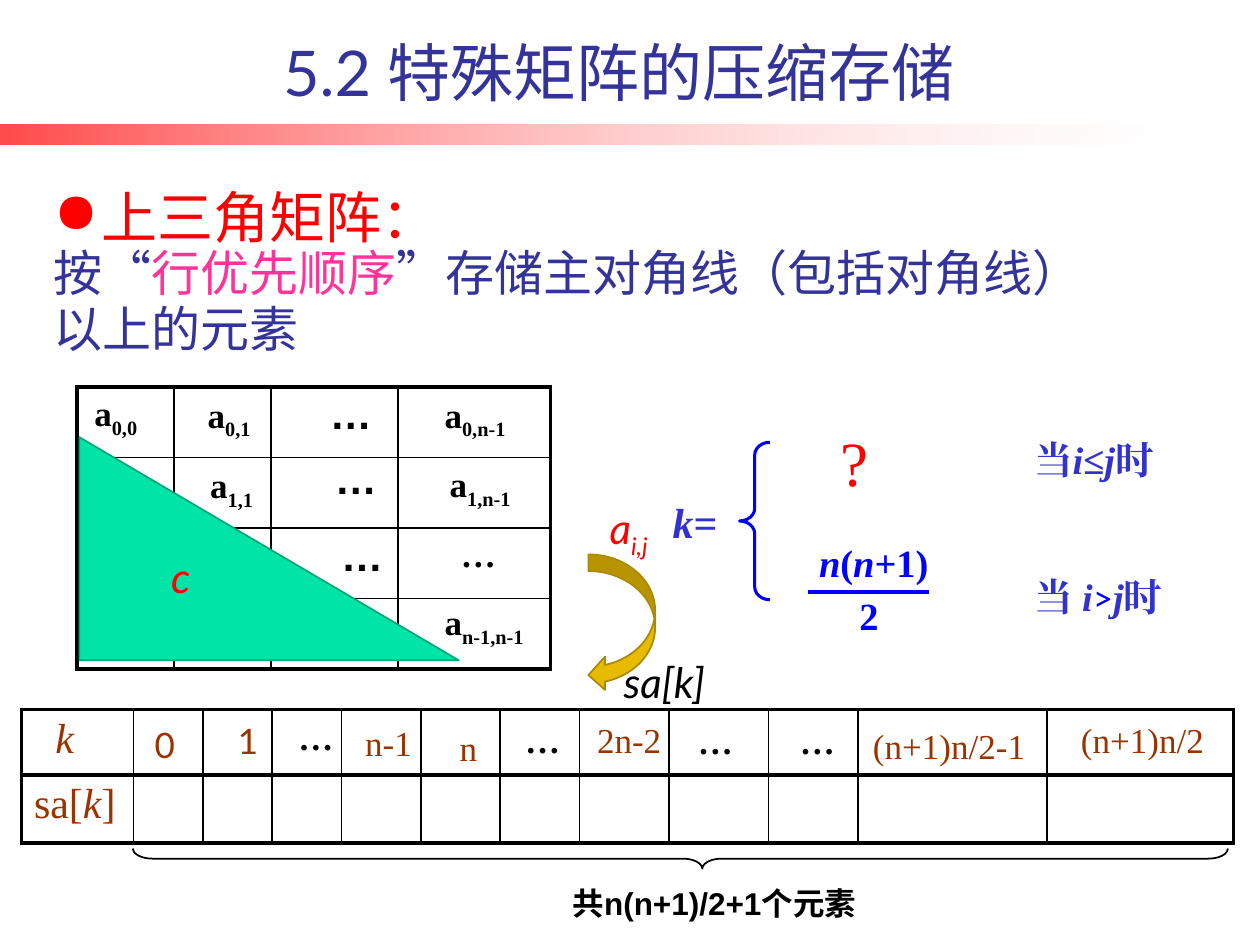
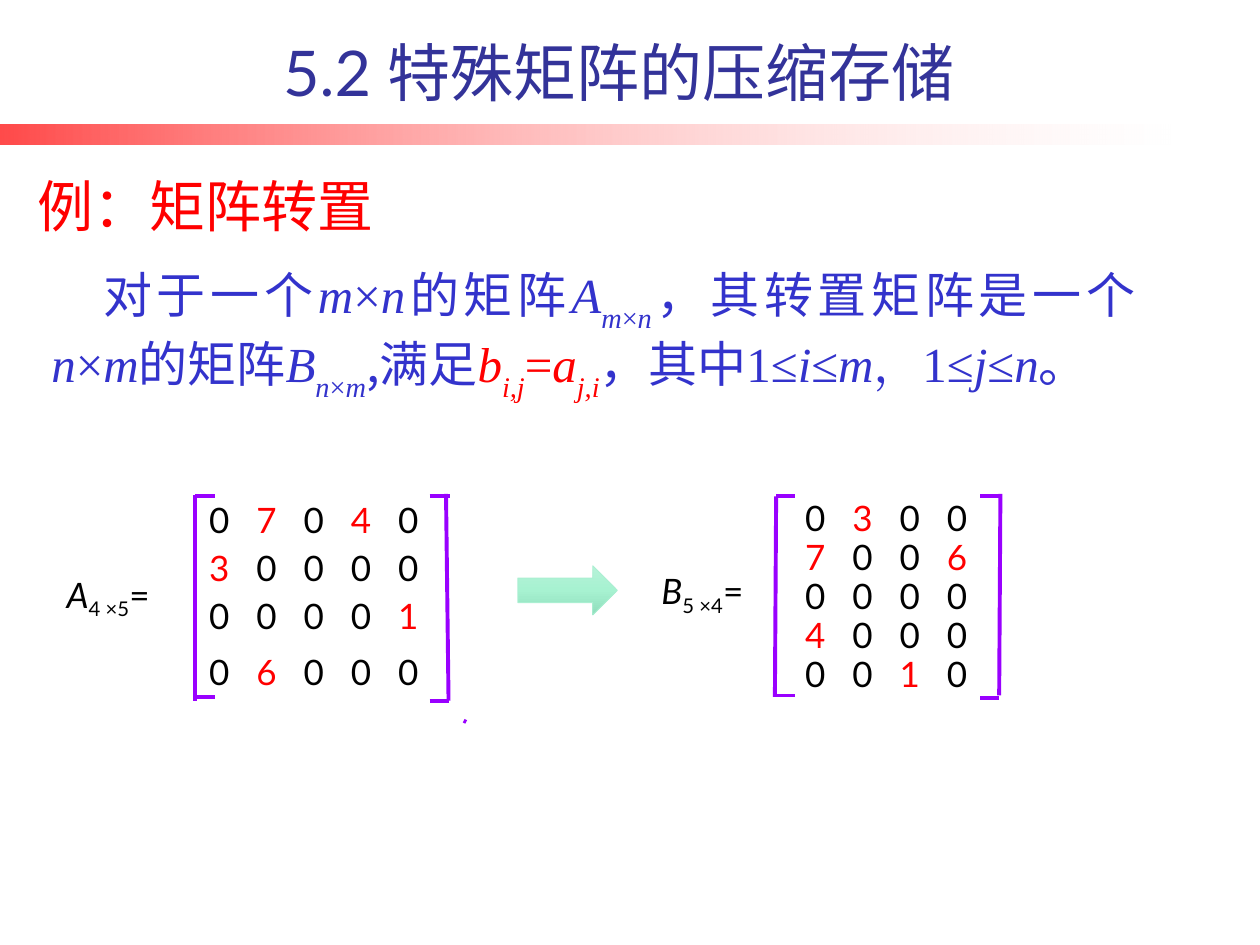
from dataclasses import dataclass

from lxml.etree import SubElement
from pptx import Presentation
from pptx.dml.color import RGBColor
from pptx.enum.lang import MSO_LANGUAGE_ID
from pptx.enum.shapes import MSO_CONNECTOR, MSO_SHAPE
from pptx.enum.text import MSO_ANCHOR, PP_ALIGN
from pptx.oxml.ns import qn
from pptx.util import Inches, Pt


@dataclass(frozen=True)
class Theme:
    navy: str = "333399"
    indigo: str = "3333CC"
    blue: str = "0000FF"
    red: str = "FF0000"
    pink: str = "FF3399"
    brown: str = "993300"
    purple: str = "9900FF"
    black: str = "000000"
    sans: str = "Lato"
    serif: str = "Times New Roman"
    arial: str = "Arial"
    chinese: str = "Noto Sans CJK SC"
    title: int = 36
    heading: int = 32
    body: int = 28
    symbol: int = 24
    condition: int = 22
    label: int = 20
    note: int = 18


theme = Theme()
ITALIC = {"italic": True}
UPRIGHT = {"italic": False}
SUBSCRIPT = {"subscript": 25}
DEEP_SUBSCRIPT = {"subscript": 30}
NO_INSETS = dict.fromkeys(("margin_left", "margin_top", "margin_right", "margin_bottom"), 0)


def add_text(slide, box, runs, style, shape=None, frame_format=None,
             paragraph_format=None, indents=None, bullet=None, tabs=()):
    """Write styled runs, given as (text, style changes), in a new text box or in shape."""
    if shape is None:
        shape = slide.shapes.add_textbox(0, 0, 0, 0)
    if box:
        for name, length in zip(("left", "top", "width", "height"), box):
            setattr(shape, name, Inches(length))
    frame = shape.text_frame
    for name, value in {"word_wrap": True, **(frame_format or {})}.items():
        setattr(frame, name, value)
    paragraph = frame.paragraphs[0]
    for name, value in (paragraph_format or {}).items():
        setattr(paragraph, name, value)
    properties = paragraph._p.get_or_add_pPr()
    for name, length in (indents or {}).items():
        properties.set(name, str(Inches(length)))
    if bullet:
        SubElement(properties, qn("a:buChar"), char=bullet)
    if tabs:
        tab_list = SubElement(properties, qn("a:tabLst"))
        for position in tabs:
            SubElement(tab_list, qn("a:tab"), pos=str(Inches(position)), algn="l")
    for text, changes in [(runs, {})] if isinstance(runs, str) else runs:
        look = {**style, **changes}
        run = paragraph.add_run()
        run.text = text
        font_format = {"name": look["name"], "size": Pt(look["size"]),
                       "bold": look.get("bold", False), "italic": look.get("italic", False),
                       "language_id": MSO_LANGUAGE_ID.SIMPLIFIED_CHINESE}
        for name, value in font_format.items():
            setattr(run.font, name, value)
        run.font.color.rgb = RGBColor.from_string(look["color"])
        run_properties = run._r.get_or_add_rPr()
        SubElement(run_properties, qn("a:ea"), typeface=look["name"])
        if "subscript" in look:
            run_properties.set("baseline", str(-1000 * look["subscript"]))


def add_figure(slide, kind, box, fill=None, line=None, adjustments=(), angle=0, rotation=0):
    """Draw a preset shape; fill is a colour or a list of (position, colour, alpha) stops."""
    shape = slide.shapes.add_shape(kind, *map(Inches, box))
    shape.shadow.inherit = False
    shape.rotation = rotation
    for index, value in enumerate(adjustments):
        shape.adjustments[index] = value
    if fill is None:
        shape.fill.background()
    elif isinstance(fill, str):
        shape.fill.solid()
        shape.fill.fore_color.rgb = RGBColor.from_string(fill)
    else:
        shape.fill.gradient()
        shape.fill.gradient_angle = angle
        stops = shape._element.spPr.find(".//" + qn("a:gsLst"))
        for stop in list(stops):
            stops.remove(stop)
        for position, color, alpha in fill:
            stop = SubElement(stops, qn("a:gs"), pos=str(1000 * position))
            value = SubElement(stop, qn("a:srgbClr"), val=color)
            SubElement(value, qn("a:alpha"), val=str(1000 * alpha))
    if line:
        shape.line.color.rgb = RGBColor.from_string(line[0])
        shape.line.width = Pt(line[1])
    else:
        shape.line.fill.background()
    return shape


presentation = Presentation()
presentation.slide_width, presentation.slide_height = Inches(10), Inches(7.5)
layout = presentation.slide_layouts[5]
triangular, transpose = [presentation.slides.add_slide(layout) for _ in range(2)]

# Shared band and titles
band = add_figure(triangular, MSO_SHAPE.RECTANGLE, (0, 0.99, 9.29, 0.16),
                  [(0, theme.red, 71), (100, "FFFFFF", 18)])
layout.shapes._spTree.insert(2, band._element)
for slide in (triangular, transpose):
    add_text(slide, (0.65, 0.21, 8.52, 0.71), "5.2 特殊矩阵的压缩存储",
             {"name": theme.sans, "size": theme.title, "color": theme.navy},
             shape=slide.shapes.title,
             frame_format={"vertical_anchor": MSO_ANCHOR.BOTTOM},
             paragraph_format={"alignment": PP_ALIGN.CENTER})

# Slide 1: upper triangular matrix
add_text(triangular, (0.33, 1.08, 5.14, 0.96), "上三角矩阵：",
         {"name": theme.sans, "size": theme.heading, "color": theme.red},
         paragraph_format={"line_spacing": 1.6},
         indents={"marL": 0.38, "indent": -0.38}, bullet="●")
add_text(triangular, (0.33, 1.91, 8.46, 1.12),
         [("按“", {}), ("行优先顺序", {"color": theme.pink}),
          ("”存储主对角线（包括对角线）以上的元素", {})],
         {"name": theme.chinese, "size": theme.body, "color": theme.navy},
         paragraph_format={"line_spacing": 0.95})

# Each grid: left, top, column widths, row heights, width of its inner horizontal rules
grids = [
    (0.61, 3.07, [0.77, 0.77, 1.01, 1.21], [0.56] * 4, 1),
    (0.17, 5.63, [0.89] + [0.55] * 3 + [0.63] * 3 + [0.71, 0.79, 0.71, 1.5, 1.48],
     [0.52, 0.54], 2.25),
]
for left, top, widths, heights, rule in grids:
    table = triangular.shapes.add_table(len(heights), len(widths), Inches(left), Inches(top),
                                        Inches(sum(widths)), Inches(sum(heights))).table
    table.first_row = table.horz_banding = False
    for column, width in zip(table.columns, widths):
        column.width = Inches(width)
    for row_index, height in enumerate(heights):
        table.rows[row_index].height = Inches(height)
        for column_index in range(len(widths)):
            cell = table.cell(row_index, column_index)
            borders = {
                "a:lnL": 2.25 if column_index == 0 else 1,
                "a:lnR": 2.25 if column_index == len(widths) - 1 else 1,
                "a:lnT": 2.25 if row_index == 0 else rule,
                "a:lnB": 2.25 if row_index == len(heights) - 1 else rule,
            }
            for tag, points in borders.items():
                border = SubElement(cell._tc.get_or_add_tcPr(), qn(tag), w=str(Pt(points)))
                SubElement(SubElement(border, qn("a:solidFill")), qn("a:srgbClr"),
                           val=theme.black)
            cell.fill.background()

storage_table = table
storage_table.cell(0, 0).margin_left = Inches(0.27)
row_names = [[("k", ITALIC)], [("sa[", {}), ("k", ITALIC), ("]", {})]]
for row_index, runs in enumerate(row_names):
    add_text(triangular, None, runs,
             {"name": theme.serif, "size": theme.symbol, "color": theme.brown},
             shape=storage_table.cell(row_index, 0))

add_figure(triangular, MSO_SHAPE.RIGHT_BRACE, (5.32, 2.47, 0.16, 8.69),
           line=(theme.black, 1), adjustments=(0.96, 0.48), rotation=90)
add_figure(triangular, MSO_SHAPE.RIGHT_TRIANGLE, (0.63, 3.47, 3.01, 1.77),
           "00E4A8", ("00A97C", 1))
add_figure(triangular, MSO_SHAPE.LEFT_BRACE, (5.87, 3.51, 0.24, 1.25),
           line=(theme.blue, 1.75), adjustments=(0.42, 0.5))
add_figure(triangular, MSO_SHAPE.CURVED_LEFT_ARROW, (4.67, 4.4, 0.53, 1.09),
           "E7BB01", ("AB8A01", 1))

index_style = {"name": theme.serif, "size": theme.label, "color": theme.brown}
digit_style = {**index_style, "name": theme.sans}
element_style = {**index_style, "color": theme.black, "bold": True}
storage_indexes = [
    (1.13, 5.69, 0.4, "0", digit_style), (1.79, 5.66, 0.4, "1", digit_style),
    (2.27, 5.63, 0.48, "…", element_style), (2.8, 5.68, 0.6, "n-1", index_style),
    (3.55, 5.72, 0.4, "n", index_style), (4.07, 5.65, 0.47, "…", element_style),
    (4.64, 5.65, 0.75, "2n-2", index_style), (5.44, 5.66, 0.47, "…", element_style),
    (6.25, 5.66, 0.47, "…", element_style), (6.83, 5.7, 1.51, "(n+1)n/2-1", index_style),
    (8.48, 5.65, 1.45, "(n+1)n/2", index_style),
]
for left, top, width, text, style in storage_indexes:
    add_text(triangular, (left, top, width, 0.44), text, style)

matrix_elements = [(0.65, 3.06, "0,0"), (1.55, 3.07, "0,1"), (3.43, 3.07, "0,n-1"),
                   (1.57, 3.63, "1,1"), (3.47, 3.62, "1,n-1"), (3.43, 4.72, "n-1,n-1")]
for left, top, indexes in matrix_elements:
    add_text(triangular, (left, top, 0.98, 0.44), [("a", {}), (indexes, SUBSCRIPT)],
             element_style)
ellipsis_style = {**element_style, "name": theme.arial, "size": theme.symbol}
for left, top in [(2.52, 3.03), (2.56, 3.54), (2.61, 4.15)]:
    add_text(triangular, (left, top, 0.43, 0.5), "…", ellipsis_style)
add_text(triangular, (3.56, 4.18, 0.43, 0.44), "…", element_style)

symbol_style = {"name": theme.sans, "size": theme.symbol, "color": theme.red, "italic": True}
add_text(triangular, (1.26, 4.33, 0.39, 0.5), "c", symbol_style)
add_text(triangular, (4.74, 3.94, 1.05, 0.5), [("a", {}), ("i,j", SUBSCRIPT)], symbol_style)
add_text(triangular, (4.85, 5.16, 1.05, 0.5), "sa[k]", {**symbol_style, "color": theme.black})
add_text(triangular, (2.65, 6.97, 6.04, 0.4), "共n(n+1)/2+1个元素",
         {"name": theme.arial, "size": theme.note, "color": theme.black, "bold": True},
         paragraph_format={"alignment": PP_ALIGN.CENTER})

condition_style = {"name": theme.serif, "size": theme.condition, "color": theme.indigo,
                   "bold": True}
greater = {"name": theme.sans, "size": theme.label, "color": theme.blue, "bold": False}
add_text(triangular, (5.24, 3.89, 0.63, 0.5), [("k", ITALIC), ("=", {})],
         {**condition_style, "size": theme.symbol})
add_text(triangular, (8.11, 3.41, 1.5, 0.47),
         [("当", {}), ("i", ITALIC), ("≤", {}), ("j", ITALIC), ("时", {})], condition_style)
add_text(triangular, (8.11, 4.5, 1.5, 0.47),
         [("当 ", {}), ("i", ITALIC), (">", greater), ("j", ITALIC), ("时", {})],
         condition_style)
fraction_style = {**condition_style, "color": theme.blue}
add_text(triangular, (6.67, 3.36, 0.52, 0.61), "?",
         {"name": theme.serif, "size": theme.title, "color": theme.red}, frame_format=NO_INSETS)
add_text(triangular, (6.5, 4.28, 1.11, 0.37),
         [("n", ITALIC), ("(", {}), ("n", ITALIC), ("+1)", {})], fraction_style,
         frame_format=NO_INSETS)
add_text(triangular, (6.82, 4.7, 0.52, 0.37), "2", fraction_style, frame_format=NO_INSETS)

# Slide 2: matrix transposition
justified = {"alignment": PP_ALIGN.JUSTIFY}
add_text(transpose, (0.2, 1.31, 3.23, 0.64), "例：矩阵转置",
         {"name": theme.chinese, "size": theme.heading, "color": theme.red},
         paragraph_format=justified)
CHINESE = {"name": theme.chinese, "italic": False}
RED = {"color": theme.red}
definition = [
    ("对于一个", CHINESE), ("m", {}), ("×", UPRIGHT), ("n", {}), ("的矩阵", CHINESE),
    ("A", {}), ("m", DEEP_SUBSCRIPT), ("×", {**UPRIGHT, **DEEP_SUBSCRIPT}),
    ("n", DEEP_SUBSCRIPT), ("，其转置矩阵是一个", CHINESE),
    ("n", {}), ("×", UPRIGHT), ("m", {}), ("的矩阵", CHINESE),
    ("B", {}), ("n", DEEP_SUBSCRIPT), ("×", {**UPRIGHT, **DEEP_SUBSCRIPT}),
    ("m", DEEP_SUBSCRIPT), (",满足", CHINESE),
    ("b", RED), ("i,j", {**RED, **DEEP_SUBSCRIPT}), ("=", {**RED, **UPRIGHT}),
    ("a", RED), ("j,i", {**RED, **DEEP_SUBSCRIPT}), ("，其中", CHINESE),
    ("1≤", UPRIGHT), ("i", {}), ("≤", UPRIGHT), ("m", {}),
    ("，1≤", UPRIGHT), ("j", {}), ("≤", UPRIGHT), ("n", {}), ("。", CHINESE),
]
add_text(transpose, (0.31, 2.05, 8.8, 1.04), definition,
         {"name": theme.serif, "size": theme.body, "color": theme.indigo, "italic": True},
         paragraph_format=justified, indents={"indent": 0.41})

add_figure(transpose, MSO_SHAPE.RIGHT_ARROW, (4.11, 4.49, 0.79, 0.39),
           [(0, "B6F2D8", 100), (50, "A7F2D1", 100), (100, "8FDCBB", 100)],
           ("AAEFD1", 0.5), (0.5, 0.5), angle=270)

# Each matrix: name, size, label left and top, digits left, row tops, rows
matrices = [
    ("A", "4 ×5", 0.43, 4.5, 1.66, [3.96, 4.34, 4.72, 5.16],
     ["07040", "30000", "00001", "06000"]),
    ("B", "5 ×4", 5.15, 4.47, 6.39, [3.94 + 0.31 * row for row in range(5)],
     ["0300", "7006", "0000", "4000", "0010"]),
]
digit_pitch = 3 / 8
entry_style = {"name": theme.sans, "size": theme.label, "color": theme.black}
for name, size, label_left, label_top, left, tops, rows in matrices:
    add_text(transpose, (label_left, label_top, 1.02, 0.44),
             [(name, ITALIC), (size, SUBSCRIPT), ("=", {})], entry_style)
    for top, digits in zip(tops, rows):
        runs = [("\t" * (column > 0) + digit, {} if digit == "0" else RED)
                for column, digit in enumerate(digits)]
        add_text(transpose, (left, top, 2.03 if name == "A" else 1.55, 0.34), runs, entry_style,
                 frame_format=NO_INSETS,
                 tabs=[digit_pitch * column for column in range(1, len(digits))])

# Fraction bar and matrix brackets
bracket_lines = [
    (1.55, 3.93, 1.55, 5.56), (1.55, 3.94, 1.71, 3.94), (1.55, 5.53, 1.71, 5.53),
    (3.54, 3.92, 3.56, 5.56), (3.41, 3.94, 3.57, 3.94), (3.41, 5.56, 3.56, 5.56),
    (3.7, 5.73, 3.68, 5.72),
    (6.16, 3.94, 6.15, 5.53), (6.16, 3.94, 6.31, 3.94), (6.16, 5.52, 6.31, 5.52),
    (7.94, 3.92, 7.93, 5.52), (7.78, 3.94, 7.93, 3.94), (7.78, 5.54, 7.93, 5.54),
]
lines = [(triangular, theme.blue, (6.41, 4.7, 7.37, 4.7))]
lines += [(transpose, theme.purple, ends) for ends in bracket_lines]
for slide, color, ends in lines:
    connector = slide.shapes.add_connector(MSO_CONNECTOR.STRAIGHT, *map(Inches, ends))
    connector.line.color.rgb = RGBColor.from_string(color)
    connector.line.width = Pt(2.25)
    SubElement(connector._element.spPr, qn("a:effectLst"))

presentation.save("out.pptx")
